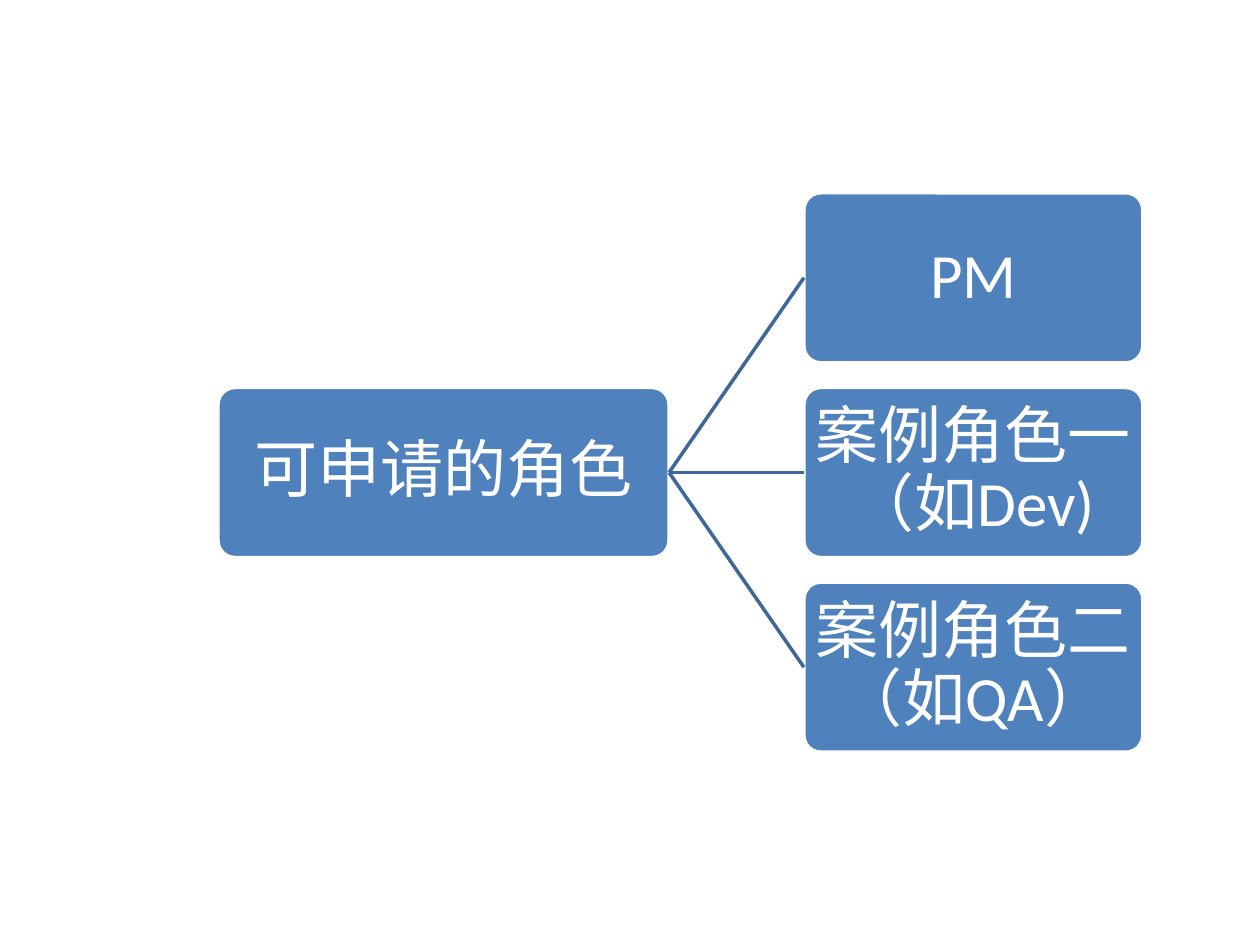
from lxml.etree import SubElement
from pptx import Presentation
from pptx.dml.color import RGBColor
from pptx.enum.shapes import MSO_CONNECTOR, MSO_SHAPE
from pptx.enum.text import MSO_ANCHOR, PP_ALIGN
from pptx.oxml.ns import qn
from pptx.util import Inches, Pt

BLUE, DARK_BLUE, WHITE = "4F81BD", "3F6797", "FFFFFF"
ROOT = "可申请的角色"
ROLES = ["PM", "案例角色一（如Dev)", "案例角色二（如QA）"]
NODE_HEIGHT = 1.35
ROOT_WIDTH, ROLE_WIDTH = 3.58, 2.69


def color(hex_string):
    """Return the colour for a hex string."""
    return RGBColor.from_string(hex_string)


def add_node(page, text, left, top, width):
    """Add one rounded box with centred text."""
    box = page.shapes.add_shape(
        MSO_SHAPE.ROUNDED_RECTANGLE,
        Inches(left), Inches(top), Inches(width), Inches(NODE_HEIGHT))
    box.adjustments[0] = 0.1
    box.shadow.inherit = False
    box.fill.solid()
    box.fill.fore_color.rgb = color(BLUE)
    box.line.color.rgb = color(WHITE)
    box.line.width = Pt(2)
    frame = box.text_frame
    frame.word_wrap = True
    frame.vertical_anchor = MSO_ANCHOR.MIDDLE
    frame.margin_left = frame.margin_right = Inches(0.03)
    frame.margin_top = frame.margin_bottom = Inches(0.03)
    para = frame.paragraphs[0]
    para.alignment = PP_ALIGN.CENTER
    para.line_spacing = 0.9
    span = para.add_run()
    span.text = text
    span.font.name = "Calibri"
    span.font.size = Pt(36)
    span.font.color.rgb = color(WHITE)
    return box


def add_branch(page, parent, child):
    """Join the right side of the parent to the left side of the child."""
    branch = page.shapes.add_connector(MSO_CONNECTOR.STRAIGHT, 0, 0, 0, 0)
    branch.begin_connect(parent, 3)
    branch.end_connect(child, 1)
    branch.line.color.rgb = color(DARK_BLUE)
    branch.line.width = Pt(2)
    SubElement(branch.element.spPr, qn("a:effectLst"))


def add_role_tree(page, left, top, width, height):
    """Place the root and its evenly spaced roles inside the given box."""
    root = add_node(page, ROOT, left, top + (height - NODE_HEIGHT) / 2, ROOT_WIDTH)
    step = (height - NODE_HEIGHT) / (len(ROLES) - 1)
    for index, role in enumerate(ROLES):
        node = add_node(page, role, left + width - ROLE_WIDTH,
                        top + index * step, ROLE_WIDTH)
        add_branch(page, root, node)


def main():
    """Build and save the deck."""
    deck = Presentation()
    deck.slide_width, deck.slide_height = Inches(10), Inches(7.5)
    page = deck.slides.add_slide(deck.slide_layouts[6])
    add_role_tree(page, 1.73, 1.53, 7.34, 4.44)
    deck.save("out.pptx")


main()
